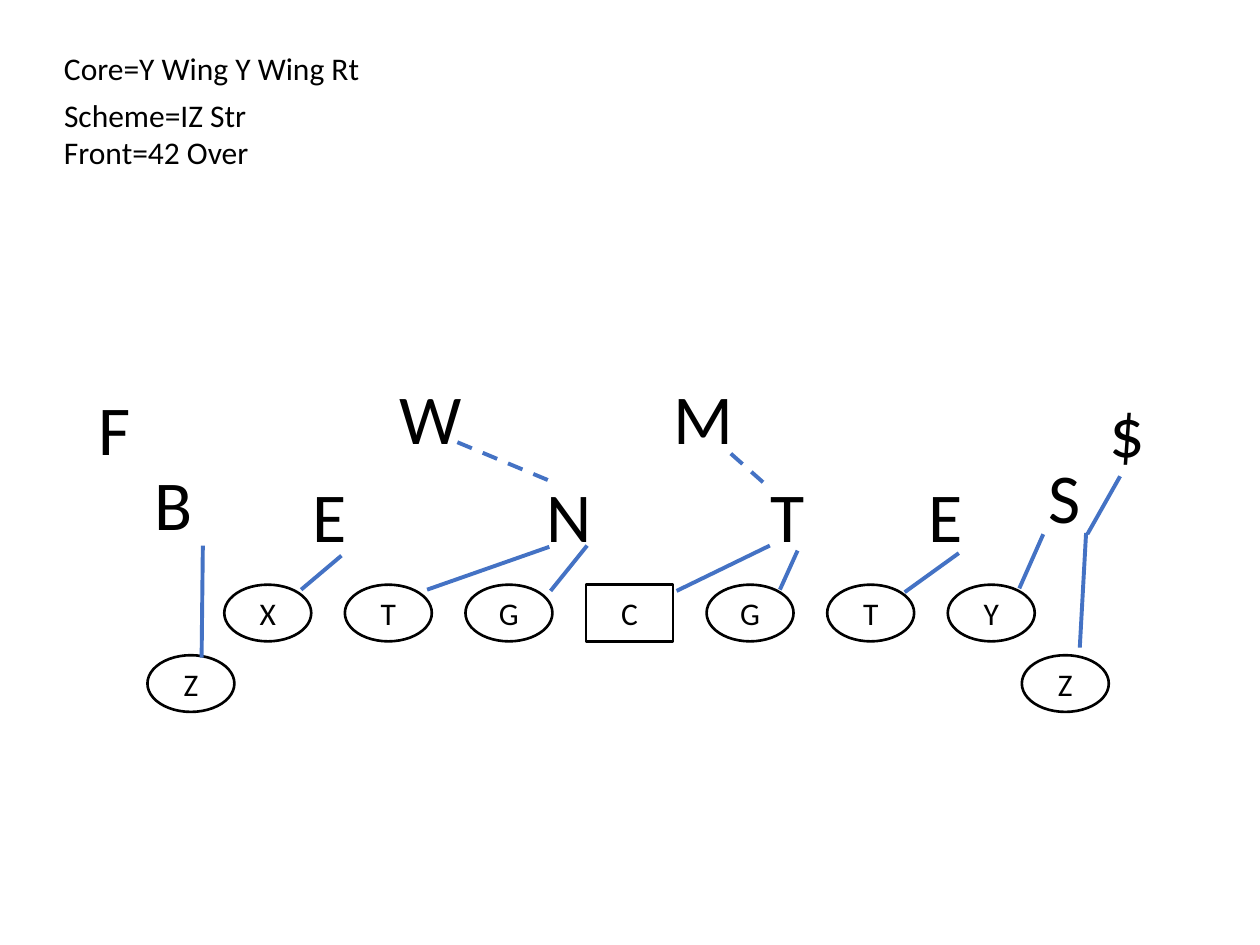
from dataclasses import dataclass

import pptx
import pptx.dml.color
import pptx.enum.dml
import pptx.enum.shapes
import pptx.enum.text
import pptx.oxml.ns
import pptx.util
from lxml import etree

BLACK = pptx.dml.color.RGBColor(0x00, 0x00, 0x00)
WHITE = pptx.dml.color.RGBColor(0xFF, 0xFF, 0xFF)
BLUE = pptx.dml.color.RGBColor(0x44, 0x72, 0xC4)
FONT = "Calibri"
SMALL, LARGE = 18, 40
MARGIN = 0.41
LINE_LEFT, LINE_TOP, LINE_PITCH = 1.78, 4.64, 0.957
WING_TOP = 5.2
PLAYER_WIDTH, PLAYER_HEIGHT = 0.69, 0.45
OVAL = pptx.enum.shapes.MSO_SHAPE.OVAL
RECTANGLE = pptx.enum.shapes.MSO_SHAPE.RECTANGLE


@dataclass(frozen=True)
class Label:
    text: str
    left: float
    top: float
    width: float
    height: float = 0.77
    size: int = LARGE
    wrap: bool = False


@dataclass(frozen=True)
class Player:
    letter: str
    left: float
    top: float


@dataclass(frozen=True)
class Block:
    x1: float
    y1: float
    x2: float
    y2: float
    dashed: bool = False


CALLS = [
    Label("Core=Y Wing Y Wing Rt", MARGIN, 0.34, 2.57, 0.4, SMALL),
    Label("Scheme=IZ Str", MARGIN, 0.71, 1.72, 0.4, SMALL),
    Label("Front=42 Over", MARGIN, 1.01, 1.74, 0.4, SMALL),
]
DEFENSE = [
    Label("F", 0.68, 3.01, 0.35, wrap=True),
    Label("B", 1.13, 3.61, 0.51),
    Label("E", 2.38, 3.7, 0.48),
    Label("W", 3.07, 2.92, 0.7),
    Label("N", 4.24, 3.7, 0.56),
    Label("M", 5.25, 2.92, 0.7),
    Label("T", 6.02, 3.7, 0.48),
    Label("E", 7.27, 3.7, 0.48),
    Label("S", 8.22, 3.55, 0.48),
    Label("$", 8.71, 3.03, 0.39, wrap=True),
]
OFFENSE = [
    Player(letter, LINE_LEFT + column * LINE_PITCH, LINE_TOP)
    for column, letter in enumerate("XTGCGTY")
] + [Player("Z", 1.17, WING_TOP), Player("Z", 8.11, WING_TOP)]
BLOCKS = [
    Block(8.28, 4.24, 8.09, 4.67),
    Block(8.62, 4.23, 8.57, 5.14),
    Block(8.89, 3.78, 8.63, 4.24),
    Block(7.61, 4.39, 7.18, 4.7),
    Block(6.33, 4.37, 6.19, 4.68),
    Block(6.11, 4.33, 5.37, 4.69),
    Block(4.66, 4.33, 4.37, 4.69),
    Block(4.36, 4.34, 3.39, 4.68),
    Block(2.71, 4.41, 2.39, 4.68),
    Block(1.61, 4.33, 1.6, 5.22),
    Block(5.8, 3.6, 6.07, 3.84, True),
    Block(3.63, 3.51, 4.42, 3.84, True),
]


def inches(*lengths: float) -> list[int]:
    return [pptx.util.Inches(length) for length in lengths]


def write(frame, text: str, size: int) -> None:
    frame.text = text
    font = frame.paragraphs[0].runs[0].font
    font.name = FONT
    font.size = pptx.util.Pt(size)
    font.color.rgb = BLACK


def draw_label(slide, label: Label) -> None:
    frame = slide.shapes.add_textbox(
        *inches(label.left, label.top, label.width, label.height)
    ).text_frame
    frame.word_wrap = label.wrap
    write(frame, label.text, label.size)


def draw_player(slide, player: Player) -> None:
    marker = slide.shapes.add_shape(
        RECTANGLE if player.letter == "C" else OVAL,
        *inches(player.left, player.top, PLAYER_WIDTH, PLAYER_HEIGHT),
    )
    marker.shadow.inherit = False
    marker.fill.solid()
    marker.fill.fore_color.rgb = WHITE
    marker.line.color.rgb = BLACK
    marker.line.width = pptx.util.Pt(1.5)
    frame = marker.text_frame
    frame.vertical_anchor = pptx.enum.text.MSO_ANCHOR.MIDDLE
    write(frame, player.letter, SMALL)
    frame.paragraphs[0].alignment = pptx.enum.text.PP_ALIGN.CENTER


def draw_block(slide, block: Block) -> None:
    path_line = slide.shapes.add_connector(
        pptx.enum.shapes.MSO_CONNECTOR.STRAIGHT,
        *inches(block.x1, block.y1, block.x2, block.y2),
    )
    path_line.line.color.rgb = BLUE
    path_line.line.width = pptx.util.Pt(2.25)
    if block.dashed:
        path_line.line.dash_style = pptx.enum.dml.MSO_LINE.DASH
    etree.SubElement(path_line._element.spPr, pptx.oxml.ns.qn("a:effectLst"))


def main() -> None:
    deck = pptx.Presentation()
    deck.slide_width, deck.slide_height = inches(10, 7.5)
    slide = deck.slides.add_slide(deck.slide_layouts[6])
    for label in CALLS + DEFENSE:
        draw_label(slide, label)
    for player in OFFENSE:
        draw_player(slide, player)
    for block in BLOCKS:
        draw_block(slide, block)
    deck.save("out.pptx")


main()
